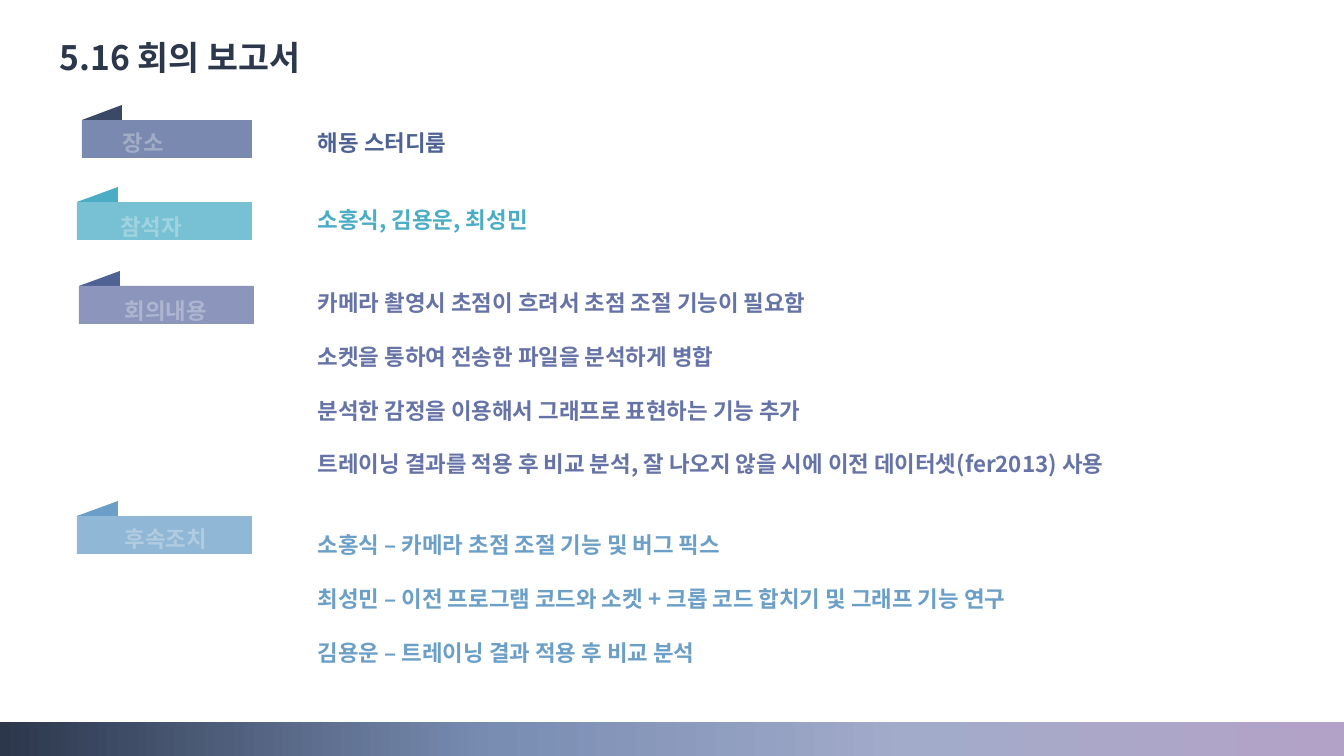
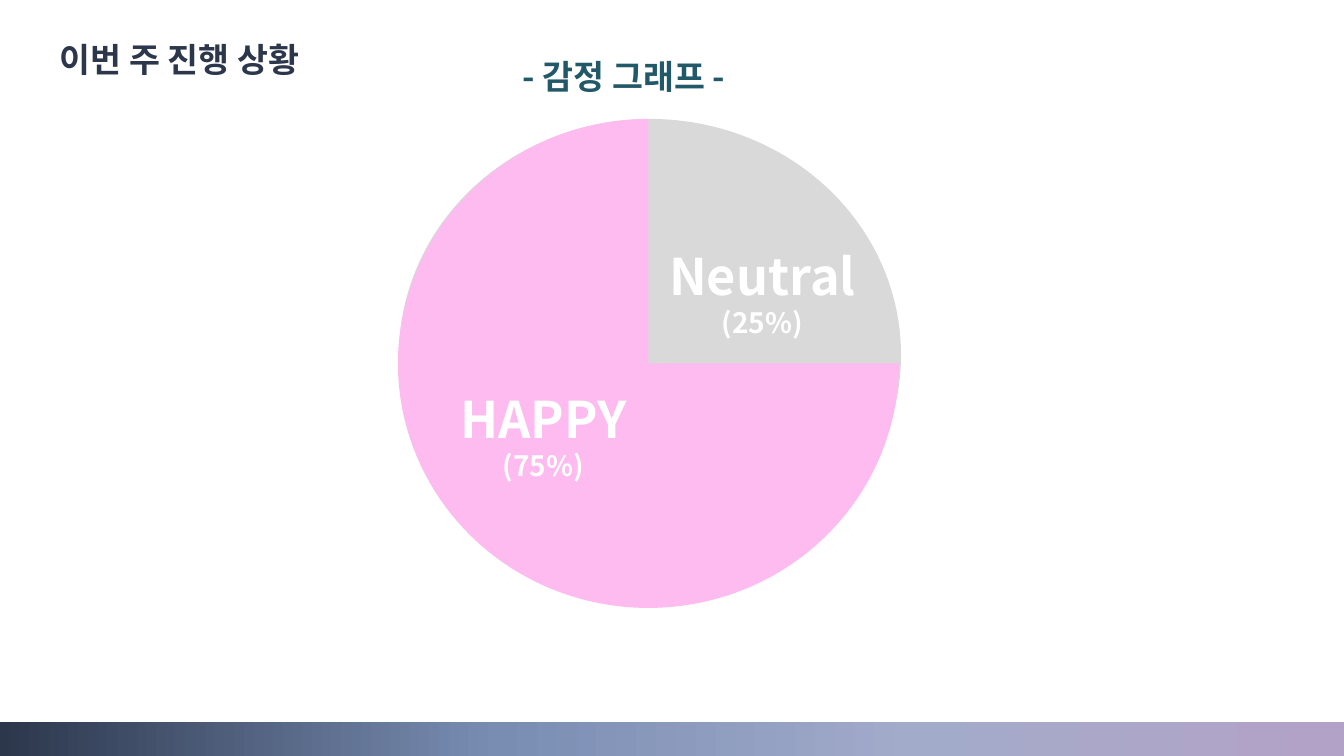
from lxml import etree
from pptx import Presentation
from pptx import util as u
from pptx.dml.color import RGBColor
from pptx.enum import shapes as sh
from pptx.enum.text import PP_ALIGN as AL
from pptx.oxml import ns

PX = 9071  # EMU per px
WIDE, HIGH = 1344, 756
FONT = "Noto Sans CJK KR"
KIND = sh.MSO_SHAPE

WHITE = RGBColor(0xFF, 0xFF, 0xFF)
DARK = RGBColor(0x2C, 0x37, 0x4C)
SLATE = RGBColor(0x3A, 0x49, 0x66)
STEEL = RGBColor(0x7A, 0x89, 0xAF)
NAVY = RGBColor(0x4E, 0x62, 0x94)
TEAL = RGBColor(0x4B, 0xAC, 0xC6)
AQUA = RGBColor(0x78, 0xC1, 0xD4)
PLUM = RGBColor(0x65, 0x73, 0xA7)
LILAC = RGBColor(0x8C, 0x96, 0xBD)
BLUE = RGBColor(0x6B, 0x9F, 0xC7)
SKY = RGBColor(0x90, 0xB7, 0xD5)
DEEP = RGBColor(0x21, 0x59, 0x68)
GRAY = RGBColor(0xD9, 0xD9, 0xD9)
PINK = RGBColor(0xFD, 0xBB, 0xEF)
BAND = [(0, "2C374C"), (37, "798DB3"), (68, "A3ABCA"), (100, "B3A2C7")]

# Tab: label, left, top, width, fold width, fold colour, fill, label right, label top
# Body: top, colour, lines
ROWS = [
    (("장소", 82, 105, 170, 40, SLATE, STEEL, 174, 122),
     (122, NAVY, ["해동 스터디룸"])),
    (("참석자", 77, 187, 175, 41, TEAL, AQUA, 192, 206),
     (199, TEAL, ["소홍식, 김용운, 최성민"])),
    (("회의내용", 79, 271, 175, 41, NAVY, LILAC, 217, 290),
     (282, PLUM, [
         "카메라 촬영시 초점이 흐려서 초점 조절 기능이 필요함",
         "소켓을 통하여 전송한 파일을 분석하게 병합",
         "분석한 감정을 이용해서 그래프로 표현하는 기능 추가",
         "트레이닝 결과를 적용 후 비교 분석, 잘 나오지 않을 시에 "
         "이전 데이터셋(fer2013) 사용"])),
    (("후속조치", 77, 501, 175, 41, BLUE, SKY, 217, 518),
     (524, BLUE, [
         "소홍식 – 카메라 초점 조절 기능 및 버그 픽스",
         "최성민 – 이전 프로그램 코드와 소켓 + 크롭 코드 합치기 및 그래프 기능 연구",
         "김용운 – 트레이닝 결과 적용 후 비교 분석"])),
]
DISCS = [(KIND.OVAL, 399, 119, 502, 472, GRAY),
         (KIND.PIE, 398, 119, 501, 489, PINK)]
MOODS = [("HAPPY", "(75%)", 415, 378), ("Neutral", "(25%)", 634, 235)]


def box(*sides):
    return [u.Emu(round(side * PX)) for side in sides]


def shape(parent, kind, x, y, w, h, color=None):
    item = parent.shapes.add_shape(kind, *box(x, y, w, h))
    item.shadow.inherit = False
    item.line.fill.background()
    if color is not None:
        item.fill.solid()
        item.fill.fore_color.rgb = color
    return item


def write(parent, lines, x, y, w, color, align=AL.LEFT, gap=0, alpha=None):
    """Add a text box from (text, size) lines on a fixed line pitch."""
    nudge = lines[0][1] * 0.14
    tall = sum(size * 1.68 for _, size in lines) + 10
    frame = parent.shapes.add_textbox(*box(x, y + nudge, w, tall)).text_frame
    frame.word_wrap = True
    for i, (words, size) in enumerate(lines):
        para = frame.add_paragraph() if i else frame.paragraphs[0]
        para.text = words
        para.alignment = align
        para.line_spacing = u.Pt(size * 1.2)
        para.space_before = u.Pt(gap if i else 0)
        font = para.runs[0].font
        font.name, font.size, font.bold = FONT, u.Pt(size), True
        font.color.rgb = color
        props = para.runs[0].font._element
        etree.SubElement(props, ns.qn("a:ea")).set("typeface", FONT)
        if alpha:
            tint = props.find(".//" + ns.qn("a:srgbClr"))
            etree.SubElement(tint, ns.qn("a:alpha")).set("val", str(alpha * 1000))


def page(deck, title, top):
    """Start a slide with the shared band and title."""
    slide = deck.slides.add_slide(deck.slide_layouts[6])
    band = shape(slide, KIND.RECTANGLE, 0, 722, WIDE, 34)
    band.fill.gradient()
    band.fill.gradient_angle = 0
    stops = band.element.spPr.find(".//" + ns.qn("a:gsLst"))
    for old in list(stops):
        stops.remove(old)
    for pos, color in BAND:
        stop = etree.SubElement(stops, ns.qn("a:gs"), pos=str(pos * 1000))
        etree.SubElement(stop, ns.qn("a:srgbClr"), val=color)
    write(slide, [(title, 24)], 50, top, 420, DARK)
    return slide


def tab(slide, label, x, y, w, fold, dark, fill, right, top):
    group = slide.shapes.add_group_shape()
    flap = shape(group, KIND.RIGHT_TRIANGLE, x, y, fold, 15, dark)
    flap.element.spPr.find(ns.qn("a:xfrm")).set("flipH", "1")
    shape(group, KIND.RECTANGLE, x, y + 15, w, 38, fill)
    write(group, [(label, 16)], right - 153, top, 153, WHITE, AL.RIGHT, alpha=30)


def main():
    deck = Presentation()
    deck.slide_width, deck.slide_height = box(WIDE, HIGH)

    # Meeting report
    slide = page(deck, "5.16 회의 보고서", 29)
    for head, (top, color, lines) in ROWS:
        tab(slide, *head)
        write(slide, [(line, 16) for line in lines], 308, top, 891, color, gap=19.2)

    # Weekly progress
    slide = page(deck, "이번 주 진행 상황", 31)
    for disc in DISCS:
        shape(slide, *disc)
    for mood, share, x, y in MOODS:
        write(slide, [(mood, 36), (share, 20)], x, y, 257, WHITE, AL.CENTER)
    write(slide, [("- 감정 그래프 -", 24)], 513, 48, 366, DEEP)

    deck.save("out.pptx")


if __name__ == "__main__":
    main()
